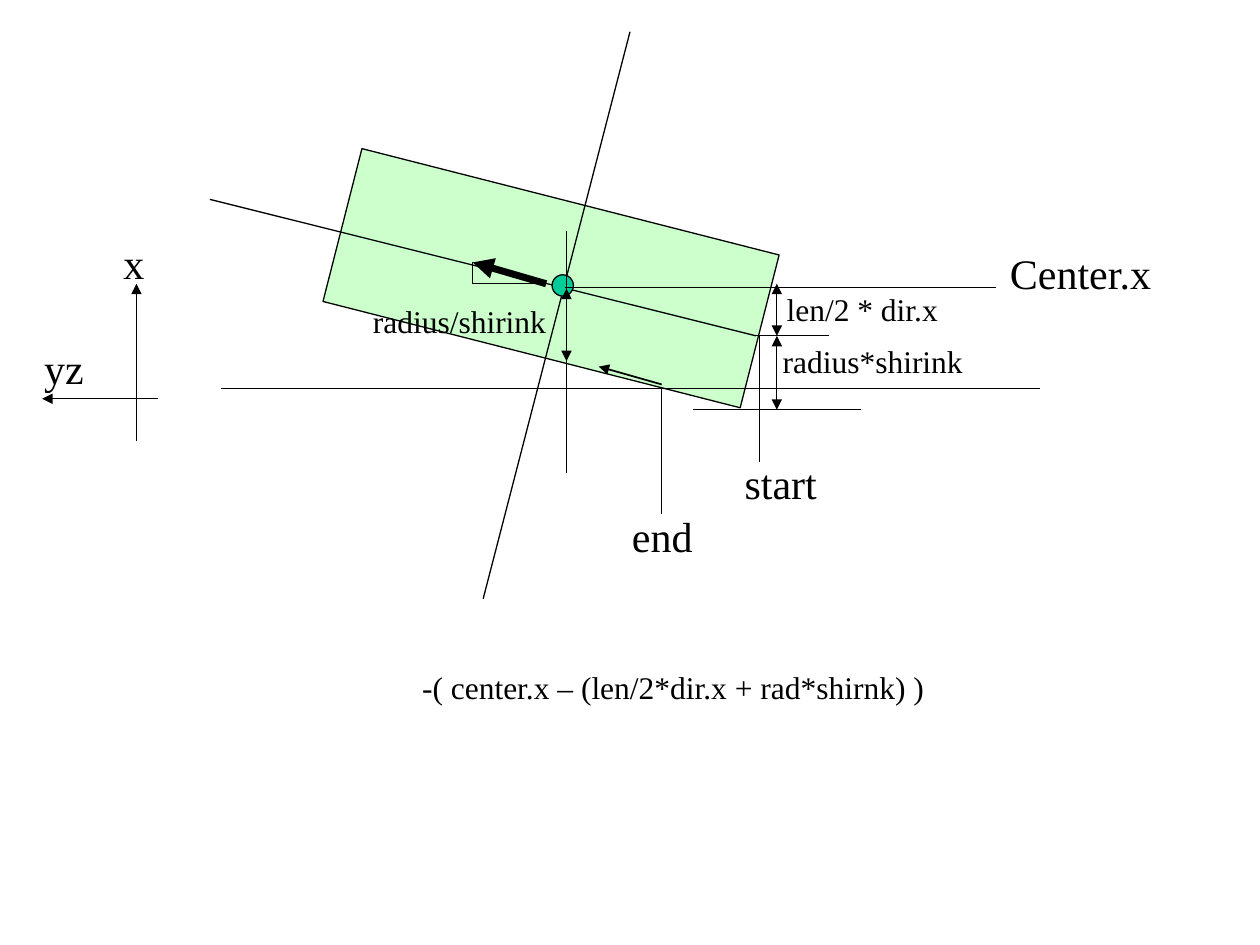
from dataclasses import dataclass

from pptx import Presentation
from pptx.dml.color import RGBColor as RGB
from pptx.enum.shapes import MSO_CONNECTOR as CONN, MSO_SHAPE as SHAPE
from pptx.enum.text import MSO_AUTO_SIZE as AUTO
from pptx.oxml.ns import qn
from pptx.util import Cm, Pt
from lxml.etree import SubElement


@dataclass(frozen=True)
class Theme:
    font: str = "Times New Roman"
    ink: RGB = RGB(0, 0, 0)
    body: RGB = RGB(0xCC, 0xFF, 0xCC)
    dot: RGB = RGB(0x00, 0xCC, 0x99)
    large: int = 24
    small: int = 18
    thin: float = 0.75
    medium: float = 1
    thick: float = 4


class Diagram:
    def __init__(self, s, theme):
        self.s = s
        self.theme = theme

    def shape(self, kind, x, y, w, h, fill, rotation=0):
        sp = self.s.shapes.add_shape(kind, Cm(x), Cm(y), Cm(w), Cm(h))
        sp.shadow.inherit = False
        sp.rotation = rotation
        sp.fill.solid()
        sp.fill.fore_color.rgb = fill
        sp.line.color.rgb = self.theme.ink
        sp.line.width = Pt(self.theme.thin)

    def line(self, x1, y1, x2, y2, width=None, ends=()):
        c = self.s.shapes.add_connector(CONN.STRAIGHT, Cm(x1), Cm(y1), Cm(x2), Cm(y2))
        c.line.color.rgb = self.theme.ink
        c.line.width = Pt(width or self.theme.thin)
        ln = c.line._get_or_add_ln()
        for end in ends:
            SubElement(ln, qn(f"a:{end}End"), type="triangle")
        SubElement(c._element.spPr, qn("a:effectLst"))

    def arrow(self, x1, y1, x2, y2, width=None):
        self.line(x1, y1, x2, y2, width, ends=("tail",))

    def dimension(self, x, y1, y2):
        self.line(x, y1, x, y2, ends=("head", "tail"))

    def label(self, text, x, y, w, size):
        h = 1.27 if size == self.theme.large else 1.02
        sp = self.s.shapes.add_textbox(Cm(x), Cm(y), Cm(w), Cm(h))
        tf = sp.text_frame
        tf.word_wrap = False
        tf.auto_size = AUTO.SHAPE_TO_FIT_TEXT
        r = tf.paragraphs[0].add_run()
        r.text = text
        r.font.name = self.theme.font
        r.font.size = Pt(size)
        r.font.color.rgb = self.theme.ink


def main():
    prs = Presentation()
    prs.slide_width, prs.slide_height = Cm(25.4), Cm(19.05)
    theme = Theme()
    d = Diagram(prs.slides.add_slide(prs.slide_layouts[6]), theme)

    center_x, end_x, start_x, dim_x = 11.42, 13.34, 15.31, 15.66
    center_y, axis_y, ground_y, corner_y = 5.72, 6.77, 7.83, 8.26
    dir_x, dir_y = 9.53, 5.29

    d.shape(SHAPE.RECTANGLE, 6.77, 4.02, 8.68, 3.18, theme.body, rotation=14.3)
    d.line(4.45, ground_y, 20.96, ground_y)
    d.arrow(11.01, center_y, dir_x, dir_y, theme.thick)
    d.line(4.23, 4.02, 15.24, axis_y)
    d.line(9.74, 12.07, 12.7, 0.64)
    d.line(10.8, center_y, dir_x, center_y)
    d.line(dir_x, dir_y, dir_x, center_y)

    d.arrow(2.75, 8.89, 2.75, 5.72)
    d.arrow(3.18, 8.04, 0.85, 8.04)

    d.shape(SHAPE.OVAL, 11.13, 5.54, 0.43, 0.43, theme.dot)
    d.line(11.38, 5.8, 20.07, 5.8)
    d.line(center_x, 4.66, center_x, 9.53)
    d.line(end_x, ground_y, end_x, ground_y + 2.54)
    d.line(start_x, axis_y, start_x, axis_y + 2.54)
    d.line(13.97, corner_y, 17.36, corner_y)
    d.line(15.24, axis_y, 16.72, axis_y)
    d.dimension(dim_x, axis_y, center_y)
    d.dimension(dim_x, corner_y, axis_y)
    d.dimension(center_x, 7.28, 5.82)
    d.arrow(end_x, 7.75, 12.07, 7.39, theme.medium)

    for text, x, y, w, size in (
        ("x", 2.24, 4.66, 0.91, theme.large),
        ("yz", 0.64, 6.77, 1.3, theme.large),
        ("start", 14.76, 9.1, 1.96, theme.large),
        ("end", 12.49, 10.16, 1.73, theme.large),
        ("Center.x", 20.11, 4.87, 3.4, theme.large),
        ("-( center.x – (len/2*dir.x + rad*shirnk) )", 8.26, 13.34, 10.85, theme.small),
        (" len/2 * dir.x", 15.45, 5.72, 3.8, theme.small),
        (" radius*shirink", 15.37, 6.77, 4.36, theme.small),
        (" radius/shirink", 7.11, 5.97, 4.22, theme.small),
    ):
        d.label(text, x, y, w, size)

    prs.save("out.pptx")


if __name__ == "__main__":
    main()
